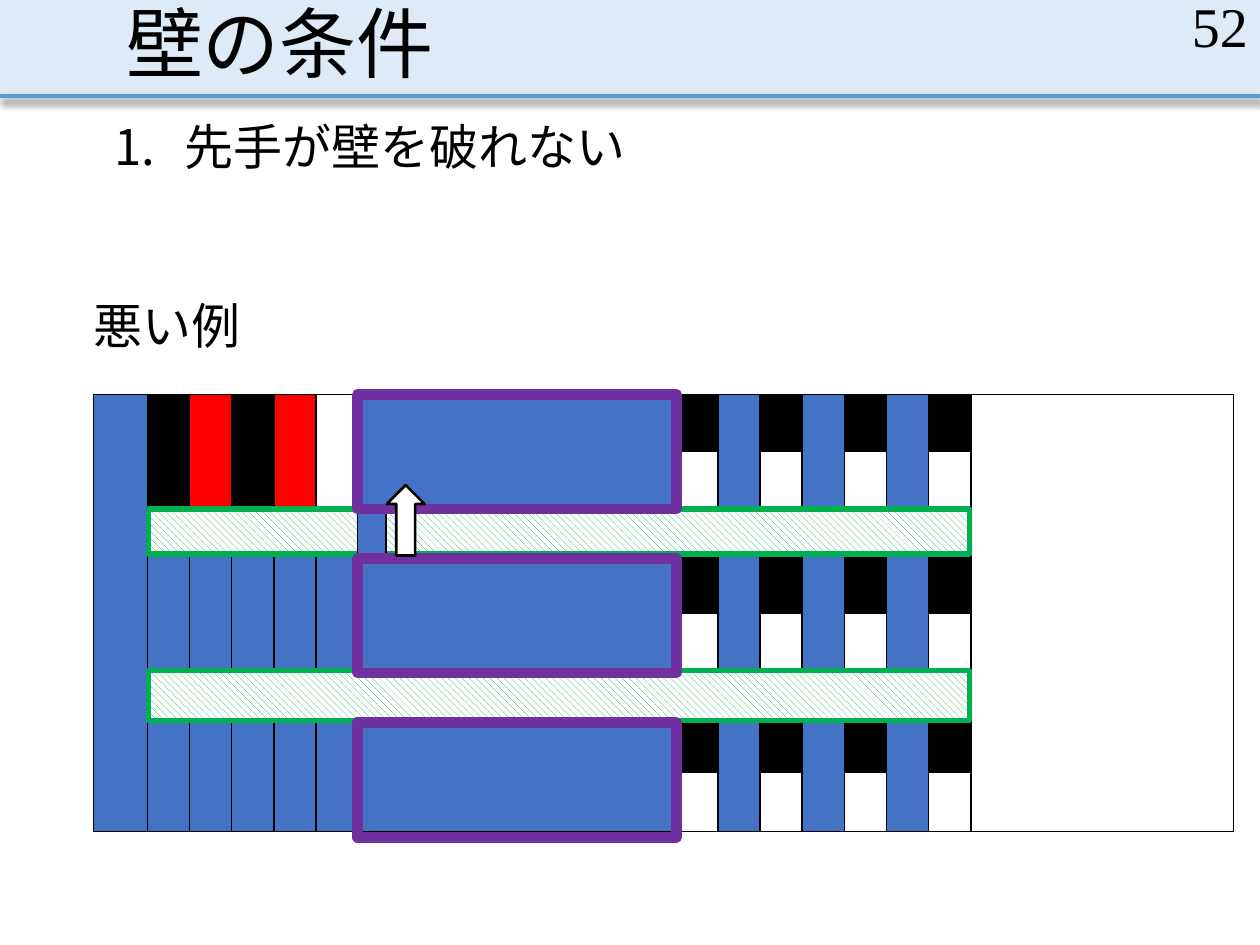
from dataclasses import dataclass
from typing import Optional

import pptx
import pptx.dml.color
import pptx.enum.dml
import pptx.enum.shapes
import pptx.enum.text
import pptx.oxml
import pptx.oxml.ns
import pptx.util

Cm, Pt = pptx.util.Cm, pptx.util.Pt
SHAPE = pptx.enum.shapes.MSO_SHAPE
ALIGN = pptx.enum.text.PP_ALIGN
ANCHOR = pptx.enum.text.MSO_ANCHOR
NSDECL = pptx.oxml.ns.nsdecls("a")

FONT = "Times New Roman"
COLORS = {
    "band": "DEEBF7", "rule": "5B9BD5", "blue": "4472C4", "red": "FF0000",
    "black": "000000", "white": "FFFFFF", "green": "00B050", "purple": "7030A0",
}
NARROW = 0.85
COLS = [1.09] + [NARROW] * 5 + [6.4] + [NARROW] * 7 + [5.3]
ROWS = [1.14, 1.14, 0.99, 1.14, 1.14, 0.89, 1.19, 1.19]
WALL_COL = 6
LANES = (0, 3, 6)
CORRIDORS = (2, 5)
WALL_LEFT, WALL_TOP, WALL_STEP = 7.21, 7.95, 3.31


@dataclass
class Box:
    x: float
    y: float
    w: float
    h: float
    fill: Optional[str] = None
    line: Optional[str] = None
    width: float = 1
    hatched: bool = False
    kind: SHAPE = SHAPE.RECTANGLE


@dataclass
class Cell:
    row: int
    col: int
    fill: Optional[str] = None
    rows: int = 1
    cols: int = 1
    bordered: bool = True


def rgb(name: str) -> pptx.dml.color.RGBColor:
    return pptx.dml.color.RGBColor.from_string(COLORS[name])


def xml(text: str):
    return pptx.oxml.parse_xml(text)


def set_fill(fill, name: Optional[str]) -> None:
    if name is None:
        fill.background()
    else:
        fill.solid()
        fill.fore_color.rgb = rgb(name)


def draw_box(s, b: Box) -> None:
    sp = s.shapes.add_shape(b.kind, Cm(b.x), Cm(b.y), Cm(b.w), Cm(b.h))
    sp.shadow.inherit = False
    if b.hatched:
        sp.fill.patterned()
        sp.fill.pattern = pptx.enum.dml.MSO_PATTERN.WIDE_DOWNWARD_DIAGONAL
        sp.fill.fore_color.rgb = rgb(b.fill)
        sp.fill.back_color.rgb = rgb("white")
    else:
        set_fill(sp.fill, b.fill)
    set_fill(sp.line.fill, b.line)
    if b.line:
        sp.line.width = Pt(b.width)


def write(sp, text: str, *, size: float, align=ALIGN.LEFT, anchor=ANCHOR.TOP,
          spacing: float = 1.0, before: float = 0, inset: float = 0.25):
    tf = sp.text_frame
    tf.word_wrap = True
    tf.auto_size = pptx.enum.text.MSO_AUTO_SIZE.NONE
    tf.vertical_anchor = anchor
    tf.margin_left = tf.margin_right = Cm(inset)
    p = tf.paragraphs[0]
    p.alignment, p.line_spacing, p.space_before = align, spacing, Pt(before)
    r = p.add_run()
    r.text = text
    r.font.name, r.font.size, r.font.color.rgb = FONT, Pt(size), rgb("black")
    return p


def add_text(s, x: float, y: float, w: float, h: float, text: str, **fmt):
    return write(s.shapes.add_textbox(Cm(x), Cm(y), Cm(w), Cm(h)), text, **fmt)


def draw_header(s) -> None:
    draw_box(s, Box(0, 0, 25.4, 1.93, "band"))
    rule = s.shapes.add_connector(pptx.enum.shapes.MSO_CONNECTOR.STRAIGHT,
                                  Cm(0), Cm(1.93), Cm(25.4), Cm(1.93))
    rule.line.color.rgb, rule.line.width = rgb("rule"), Pt(2.25)
    rule._element.spPr.append(xml(
        f'<a:effectLst {NSDECL}><a:outerShdw blurRad="{Pt(4)}" dist="{Pt(2.5)}" dir="5400000">'
        f'<a:srgbClr val="{COLORS["black"]}"><a:alpha val="47000"/></a:srgbClr>'
        '</a:outerShdw></a:effectLst>'))
    title = s.shapes.title
    title.left, title.top, title.width, title.height = Cm(2.29), Cm(0), Cm(20.96), Cm(1.93)
    write(title, "壁の条件", size=44, anchor=ANCHOR.BOTTOM, spacing=0.9)
    s.shapes._spTree.append(title._element)  # bring in front of the band


def board_cells() -> list[Cell]:
    cells = [Cell(0, 0, "blue", rows=8), Cell(0, 14, "white", rows=8)]
    cells += [Cell(row, 1, cols=13) for row in CORRIDORS]
    for row in LANES:
        left = ["black", "red", "black", "red", None] if row == 0 else ["blue"] * 5
        cells += [Cell(row, col, fill, rows=2) for col, fill in enumerate(left, 1)]
        cells.append(Cell(row, WALL_COL, "blue", rows=2, bordered=row > 0))
        cells += [Cell(row, col, "blue", rows=2) for col in (8, 10, 12)]
        for col in (7, 9, 11, 13):
            cells += [Cell(row, col, "black"), Cell(row + 1, col)]
    return cells


def draw_board(s) -> None:
    frame = s.shapes.add_table(len(ROWS), len(COLS), Cm(1.88), Cm(WALL_TOP),
                               Cm(sum(COLS)), Cm(sum(ROWS)))
    table = frame.table
    table.first_row = table.horz_banding = False
    for col, width in zip(table.columns, COLS):
        col.width = Cm(width)
    for row, height in zip(table.rows, ROWS):
        row.height = Cm(height)
    for c in board_cells():
        cell = table.cell(c.row, c.col)
        if c.rows * c.cols > 1:
            cell.merge(table.cell(c.row + c.rows - 1, c.col + c.cols - 1))
        cell.margin_top = cell.margin_bottom = 0
        tc_pr = cell._tc.get_or_add_tcPr()
        ink = (f'<a:solidFill><a:srgbClr val="{COLORS["black"]}"/></a:solidFill>'
               if c.bordered else "<a:noFill/>")
        for side in "LRTB":
            tc_pr.append(xml(f'<a:ln{side} {NSDECL} w="{Pt(1)}">{ink}</a:ln{side}>'))
        set_fill(cell.fill, c.fill)


def main() -> None:
    prs = pptx.Presentation()
    prs.slide_width, prs.slide_height = Cm(25.4), Cm(19.05)
    s = prs.slides.add_slide(prs.slide_layouts[5])

    # Header, numbered condition and slide number
    draw_header(s)
    p = add_text(s, 2.31, 2.46, 11.76, 1.32, "先手が壁を破れない",
                 size=28, spacing=0.8, before=10, inset=0)
    p_pr = p._p.get_or_add_pPr()
    p_pr.set("marL", str(Cm(1.42)))
    p_pr.set("indent", str(-Cm(1.42)))
    p_pr.append(xml(f'<a:buAutoNum {NSDECL} type="arabicPeriod"/>'))
    add_text(s, 19.69, 0, 5.72, 1.02, "52", size=32, align=ALIGN.RIGHT, anchor=ANCHOR.MIDDLE)

    # Board with hatched corridors and the gap between walls
    draw_board(s)
    for y, h in ((10.26, 0.91), (13.51, 1.02)):
        draw_box(s, Box(3, y, 16.54, h, "green", "green", 3, hatched=True))
    draw_box(s, Box(WALL_LEFT, 10.19, 0.58, 1.07, "blue", "black"))
    add_text(s, 1.88, 5.97, 3.84, 1.32, "悪い例", size=28, spacing=0.9, before=10, inset=0)

    # Wall outlines and the move through the corridor
    for i in range(len(LANES)):
        draw_box(s, Box(WALL_LEFT, WALL_TOP + i * WALL_STEP, 6.43, 2.31, None, "purple", 6))
    draw_box(s, Box(7.8, 9.78, 0.76, 1.42, "white", "black", 1.5, kind=SHAPE.UP_ARROW))

    prs.save("out.pptx")


if __name__ == "__main__":
    main()
